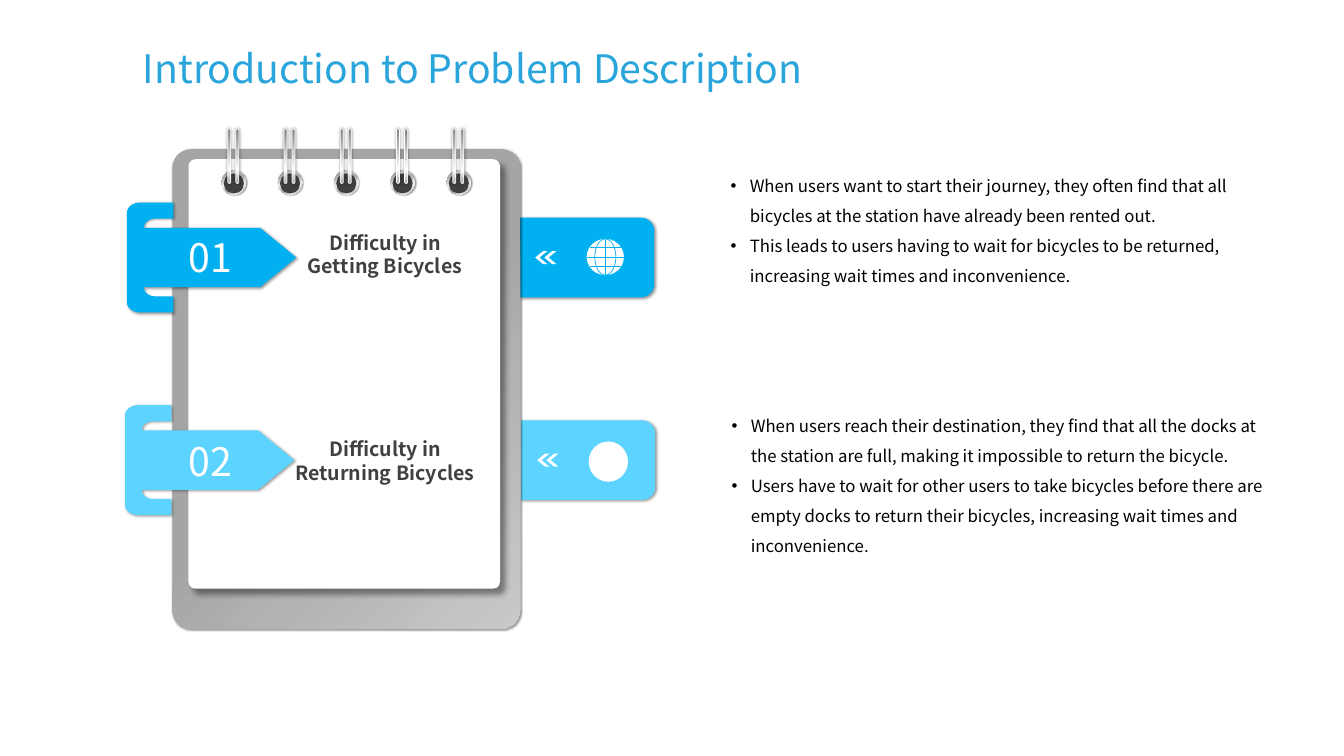
from math import cos, pi, sin

from lxml import etree
from pptx import Presentation
from pptx.dml.color import RGBColor
from pptx.enum.shapes import MSO_CONNECTOR, MSO_SHAPE
from pptx.enum.text import PP_ALIGN
from pptx.oxml.ns import qn
from pptx.util import Inches, Pt

ELLIPSE, ROUNDED = MSO_SHAPE.OVAL, MSO_SHAPE.ROUNDED_RECTANGLE
TAB, CHEVRON = MSO_SHAPE.ROUND_2_SAME_RECTANGLE, MSO_SHAPE.CHEVRON
STRAIGHT = MSO_CONNECTOR.STRAIGHT
LEFT, CENTER = PP_ALIGN.LEFT, PP_ALIGN.CENTER

# All lengths are counted in square grid cells; two problems sit ROW_STEP apart
CELL = Inches(0.1)
COLUMNS, ROWS = 133.33, 75
ROW_STEP = 20.1
RING_STEP = 5.58
FONT = "Noto Sans CJK SC"
WHITE = "FFFFFF"

# Shadows: blur and distance in points, direction in degrees
CARD_SHADOW, BOARD_SHADOW = (2, 1, 45), (1, 1, 45)
PAPER_SHADOW, WIRE_SHADOW = (4, 5, 45), (2, 0, 0)
BOARD_STOPS = [(0, "C9C9C9"), (50, "A5A5A5")]
RING_STOPS = [(0, WHITE), (17, "A6A6A6"), (35, "F2F2F2"),
              (55, "A6A6A6"), (75, "F2F2F2"), (100, "A6A6A6")]
WIRE_STOPS = [(0, "808080"), (23, "A6A6A6"), (52, "D9D9D9"),
              (74, WHITE), (100, "A6A6A6")]

PROBLEMS = [
    {"number": "01", "color": "00B0F0", "shift": 0,
     "label": "Difficulty in Getting Bicycles", "label_at": (28.4, 22.4, 19.6, 5.7),
     "number_top": 22.7, "points_at": (71.5, 15.9, 53.7, 21.9),
     "points": [
         "When users want to start their journey, they often find that all "
         "bicycles at the station have already been rented out.",
         "This leads to users having to wait for bicycles to be returned, "
         "increasing wait times and inconvenience."]},
    {"number": "02", "color": "5DD4FF", "shift": 0.2,
     "label": "Difficulty in Returning Bicycles", "label_at": (26.9, 42.9, 22.6, 5.7),
     "number_top": 42.9, "points_at": (71.6, 39.7, 54.8, 19.2),
     "points": [
         "When users reach their destination, they find that all the docks at "
         "the station are full, making it impossible to return the bicycle.",
         "Users have to wait for other users to take bicycles before there are "
         "empty docks to return their bicycles, increasing wait times and "
         "inconvenience."]},
]


def cells(*counts):
    return [round(count * CELL) for count in counts]


def rgb(color):
    return RGBColor.from_string(color)


def add_node(parent, tag, **attributes):
    values = {name: str(value) for name, value in attributes.items()}
    return etree.SubElement(parent, qn(tag), values)


def fill_gradient(shape, stops, angle):
    """Fill along an angle, or from the lower right corner if it is None."""
    shape.fill.background()
    properties = shape._element.spPr
    gradient = etree.Element(qn("a:gradFill"), rotWithShape="1")
    stop_list = add_node(gradient, "a:gsLst")
    for position, color in stops:
        stop = add_node(stop_list, "a:gs", pos=position * 1000)
        add_node(stop, "a:srgbClr", val=color)
    if angle is None:
        circle = add_node(gradient, "a:path", path="circle")
        add_node(circle, "a:fillToRect", l=100000, t=100000)
    else:
        add_node(gradient, "a:lin", ang=angle * 60000, scaled=0)
    properties.replace(properties.find(qn("a:noFill")), gradient)


def finish(shape, fill, shadow=None, angle=None, line=None):
    if isinstance(fill, list):
        fill_gradient(shape, fill, angle)
    elif fill:
        shape.fill.solid()
        shape.fill.fore_color.rgb = rgb(fill)
    else:
        shape.fill.background()
    if line:
        shape.line.color.rgb = rgb(line)
        shape.line.width = Pt(0.5)
    else:
        shape.line.fill.background()
    shape.shadow.inherit = False
    if shadow:
        blur, distance, direction = shadow
        effects = shape._element.spPr.find(qn("a:effectLst"))
        outer = add_node(effects, "a:outerShdw", blurRad=Pt(blur), dist=Pt(distance),
                         dir=direction * 60000, algn="tl", rotWithShape=0)
        add_node(add_node(outer, "a:srgbClr", val="000000"), "a:alpha", val=40000)


def add_figure(shapes, kind, at, fill, adjust=None, turn=0, **style):
    shape = shapes.add_shape(kind, *cells(*at))
    shape.rotation = turn
    if adjust is not None:
        shape.adjustments[0] = adjust
    finish(shape, fill, **style)


def add_text(page, at, texts, size, color, bold=False, align=LEFT, wrap=True, bullets=False):
    frame = page.shapes.add_textbox(*cells(*at)).text_frame
    frame.word_wrap = wrap
    for index, text in enumerate(texts):
        para = frame.paragraphs[0] if index == 0 else frame.add_paragraph()
        para.alignment = align
        if bullets:
            para.line_spacing = 1.5
            settings = para._p.get_or_add_pPr()
            settings.set("marL", str(Inches(0.19)))
            settings.set("indent", str(-Inches(0.19)))
            add_node(settings, "a:buFont", typeface="Arial")
            add_node(settings, "a:buChar", char="•")
        span = para.add_run()
        span.text = text
        for name, value in {"name": FONT, "size": Pt(size), "bold": bold}.items():
            setattr(span.font, name, value)
        span.font.color.rgb = rgb(color)
        add_node(span._r.get_or_add_rPr(), "a:ea", typeface=FONT)


def arc(center, start, end, steps=8):
    """Points of a quarter ellipse from start to end."""
    turns = [step * pi / 2 / steps for step in range(steps + 1)]
    return [tuple(c + cos(turn) * (s - c) + sin(turn) * (e - c)
                  for c, s, e in zip(center, start, end)) for turn in turns]


def add_clip(page, left, top, color):
    """Bracket and arrow, mirrored about the arrow's axis."""
    height = 10.9
    upper = (arc((1.3, 1), (0, 1), (1.3, 0)) + [(4.6, 0), (4.6, 1.6)]
             + arc((2.8, 2.4), (2.8, 1.6), (1.7, 2.4)) + [(1.7, 2.5), (13.2, 2.5)])
    lower = [(x, height - y) for x, y in reversed(upper)]
    outline = [cells(left + x, top + y)
               for x, y in upper + [(16.8, height / 2)] + lower]
    builder = page.shapes.build_freeform(*outline[0])
    builder.add_line_segments(outline[1:], close=True)
    finish(builder.convert_to_shape(), color, shadow=CARD_SHADOW)


def add_ring(page, left):
    shapes = page.shapes.add_group_shape().shapes
    add_figure(shapes, ELLIPSE, (left, 16.9, 2.4, 2.4), RING_STOPS,
               angle=45, shadow=BOARD_SHADOW)
    add_figure(shapes, ELLIPSE, (left + 0.2, 17.2, 2, 2), "404040")
    for offset in (0.6, 1.4):
        add_figure(shapes, ROUNDED, (left + offset, 12.8, 0.3, 5.4), WIRE_STOPS,
                   adjust=0.5, angle=90, line=WHITE, shadow=WIRE_SHADOW)


def add_globe(page, x, y, color):
    shapes = page.shapes.add_group_shape().shapes
    add_figure(shapes, ELLIPSE, (x - 1.85, y - 1.8, 3.7, 3.6), WHITE)
    add_figure(shapes, ELLIPSE, (x - 1.05, y - 1.8, 2.1, 3.6), None, line=color)
    chords = [(-1.55, -0.95, 1.55, -0.95), (-1.85, 0, 1.85, 0),
              (-1.55, 0.95, 1.55, 0.95), (0, -1.8, 0, 1.8)]
    for x1, y1, x2, y2 in chords:
        chord = shapes.add_connector(STRAIGHT, *cells(x + x1, y + y1, x + x2, y + y2))
        chord.line.color.rgb = rgb(color)
        chord.line.width = Pt(0.75)
        add_node(chord._element.spPr, "a:effectLst")


def main():
    deck = Presentation()
    deck.slide_width, deck.slide_height = cells(COLUMNS, ROWS)
    page = deck.slides.add_slide(deck.slide_layouts[6])

    # Tabs behind the notepad
    for row, problem in enumerate(PROBLEMS):
        add_figure(page.shapes, TAB, (54.3 + problem["shift"] / 2, 18.9 + row * ROW_STEP, 7.9, 13.3),
                   problem["color"], turn=90, shadow=CARD_SHADOW)

    # Notepad with its spiral rings
    add_figure(page.shapes, ROUNDED, (17.1, 14.8, 34.5, 47.6), BOARD_STOPS,
               adjust=0.054, shadow=BOARD_SHADOW)
    add_figure(page.shapes, ROUNDED, (18.7, 15.8, 30.9, 42.6), WHITE,
               adjust=0.022, shadow=PAPER_SHADOW)
    for ring in range(5):
        add_ring(page, 22 + ring * RING_STEP)

    # Clips, labels and explanations
    for row, problem in enumerate(PROBLEMS):
        down, shift = row * ROW_STEP, problem["shift"]
        add_clip(page, 12.6 - shift, 20.1 + down, problem["color"])
        add_text(page, (17.7, problem["number_top"], 6.6, 5.7), [problem["number"]],
                 28, WHITE, wrap=False)
        for left in (53.1, 54):
            add_figure(page.shapes, CHEVRON, (left + shift, 24.9 + down, 1.2, 1.3), WHITE,
                       adjust=0.646, turn=180)
        add_text(page, problem["label_at"], [problem["label"]], 14, "404040",
                 bold=True, align=CENTER)
        add_text(page, problem["points_at"], problem["points"], 12, "000000", bullets=True)

    # Tab symbols
    add_globe(page, 60.05, 25.5, PROBLEMS[0]["color"])
    add_figure(page.shapes, ELLIPSE, (58.4, 43.8, 3.9, 4), WHITE)

    # Title
    add_text(page, (13.2, 3.9, 73.2, 5.7), ["Introduction to Problem Description"], 28, "29A5DB")
    deck.save("out.pptx")


if __name__ == "__main__":
    main()
